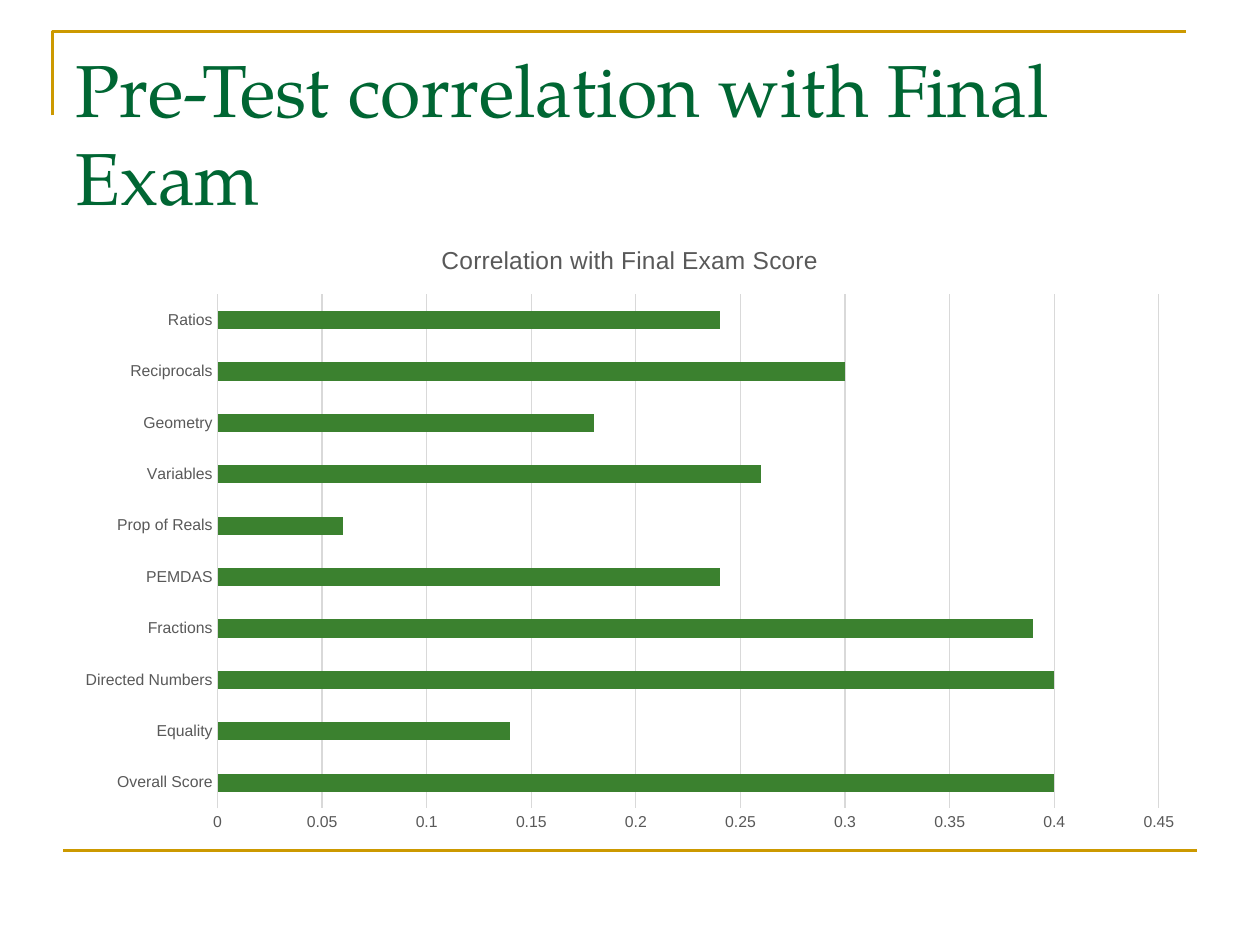
from dataclasses import dataclass
from typing import Any

from lxml import etree
from pptx import Presentation
from pptx import util as u
from pptx.chart.data import CategoryChartData
from pptx.dml.color import RGBColor
from pptx.enum import chart as charts, shapes, text
from pptx.oxml.ns import qn

COLUMNS, ROWS = 120, 90
WIDTH, HEIGHT = u.Inches(10), u.Inches(7.5)
GOLD, GREEN, BAR_GREEN, GREY, PALE = "CC9900", "006633", "3B812F", "595959", "D9D9D9"
CHART_TITLE = "Correlation with Final Exam Score"
SCORES = {
    "Overall Score": 0.4, "Equality": 0.14, "Directed Numbers": 0.4,
    "Fractions": 0.39, "PEMDAS": 0.24, "Prop of Reals": 0.06,
    "Variables": 0.26, "Geometry": 0.18, "Reciprocals": 0.3, "Ratios": 0.24,
}


@dataclass(frozen=True)
class Box:
    """A rectangle in grid columns and rows."""
    column: float
    row: float
    columns: float
    rows: float

    def lengths(self) -> tuple[int, int, int, int]:
        return (across(self.column), down(self.row),
                across(self.columns), down(self.rows))


@dataclass(frozen=True)
class TextStyle:
    """Font, size in points and colour of a text."""
    name: str
    size: float
    color: str


TITLE_BOX = Box(6, 3.6, 108, 15)
CHART_BOX = Box(6, 21, 108, 59.4)
CORNER = [(5, 11), (5, 3), (113, 3)]
FOOT_RULE = [(6, 81), (114, 81)]


def across(columns: float) -> int:
    return round(WIDTH * columns / COLUMNS)


def down(rows: float) -> int:
    return round(HEIGHT * rows / ROWS)


def color(value: str) -> RGBColor:
    return RGBColor.from_string(value)


def set_values(target: Any, values: dict[str, Any]) -> None:
    for name, value in values.items():
        setattr(target, name, value)


def set_font(font: Any, style: TextStyle) -> None:
    set_values(font, {"name": style.name, "size": u.Pt(style.size),
                      "bold": False})
    font.color.rgb = color(style.color)


def set_line(line: Any, value: str, points: float) -> None:
    line.color.rgb = color(value)
    line.width = u.Pt(points)


def add_corner(slide: Any, points: list[tuple[float, float]]) -> None:
    places = [(across(column), down(row)) for column, row in points]
    builder = slide.shapes.build_freeform(*places[0])
    builder.add_line_segments(places[1:], close=False)
    shape = builder.convert_to_shape()
    shape.shadow.inherit = False
    shape.fill.background()
    set_line(shape.line, GOLD, 1.5)


def add_rule(slide: Any, points: list[tuple[float, float]]) -> None:
    ends = [length for column, row in points
            for length in (across(column), down(row))]
    connector = slide.shapes.add_connector(shapes.MSO_CONNECTOR.STRAIGHT, *ends)
    set_line(connector.line, GOLD, 1.5)
    etree.SubElement(connector.element.spPr, qn("a:effectLst"))


def add_title(slide: Any, box: Box, words: str, style: TextStyle) -> None:
    frame = slide.shapes.add_textbox(*box.lengths()).text_frame
    set_values(frame, {"word_wrap": True, "auto_size": text.MSO_AUTO_SIZE.NONE,
                       "vertical_anchor": text.MSO_ANCHOR.TOP})
    run = frame.paragraphs[0].add_run()
    run.text = words
    set_font(run.font, style)


def style_axis(axis: Any, values: dict[str, Any]) -> None:
    set_values(axis, {"major_tick_mark": charts.XL_TICK_MARK.NONE,
                      "minor_tick_mark": charts.XL_TICK_MARK.NONE, **values})
    set_font(axis.tick_labels.font, TextStyle("Arial", 9, GREY))


def add_scores(slide: Any, box: Box, scores: dict[str, float]) -> None:
    data = CategoryChartData()
    data.categories = list(scores)
    data.add_series(CHART_TITLE, list(scores.values()))
    chart = slide.shapes.add_chart(
        charts.XL_CHART_TYPE.BAR_CLUSTERED, *box.lengths(), data).chart
    set_font(chart.font, TextStyle("Arial", 10, "000000"))
    set_values(chart, {"has_legend": False, "has_title": True})
    run = chart.chart_title.text_frame.paragraphs[0].add_run()
    run.text = CHART_TITLE
    set_font(run.font, TextStyle("Arial", 14, GREY))
    style_axis(chart.category_axis, {"has_major_gridlines": False})
    set_line(chart.category_axis.format.line, PALE, 0.75)
    style_axis(chart.value_axis, {"minimum_scale": 0, "maximum_scale": 0.45,
                                  "major_unit": 0.05,
                                  "has_major_gridlines": True})
    chart.value_axis.format.line.fill.background()
    set_line(chart.value_axis.major_gridlines.format.line, PALE, 0.75)
    plot = chart.plots[0]
    set_values(plot, {"gap_width": 182, "vary_by_categories": False})
    fill = plot.series[0].format.fill
    fill.solid()
    fill.fore_color.rgb = color(BAR_GREEN)


def main() -> None:
    """Build the slide and save it."""
    presentation = Presentation()
    set_values(presentation, {"slide_width": WIDTH, "slide_height": HEIGHT})
    slide = presentation.slides.add_slide(presentation.slide_layouts[6])
    add_corner(slide, CORNER)
    add_rule(slide, FOOT_RULE)
    add_title(slide, TITLE_BOX, "Pre-Test correlation with Final Exam",
              TextStyle("TeX Gyre Pagella", 42, GREEN))
    add_scores(slide, CHART_BOX, SCORES)
    presentation.save("out.pptx")


main()
